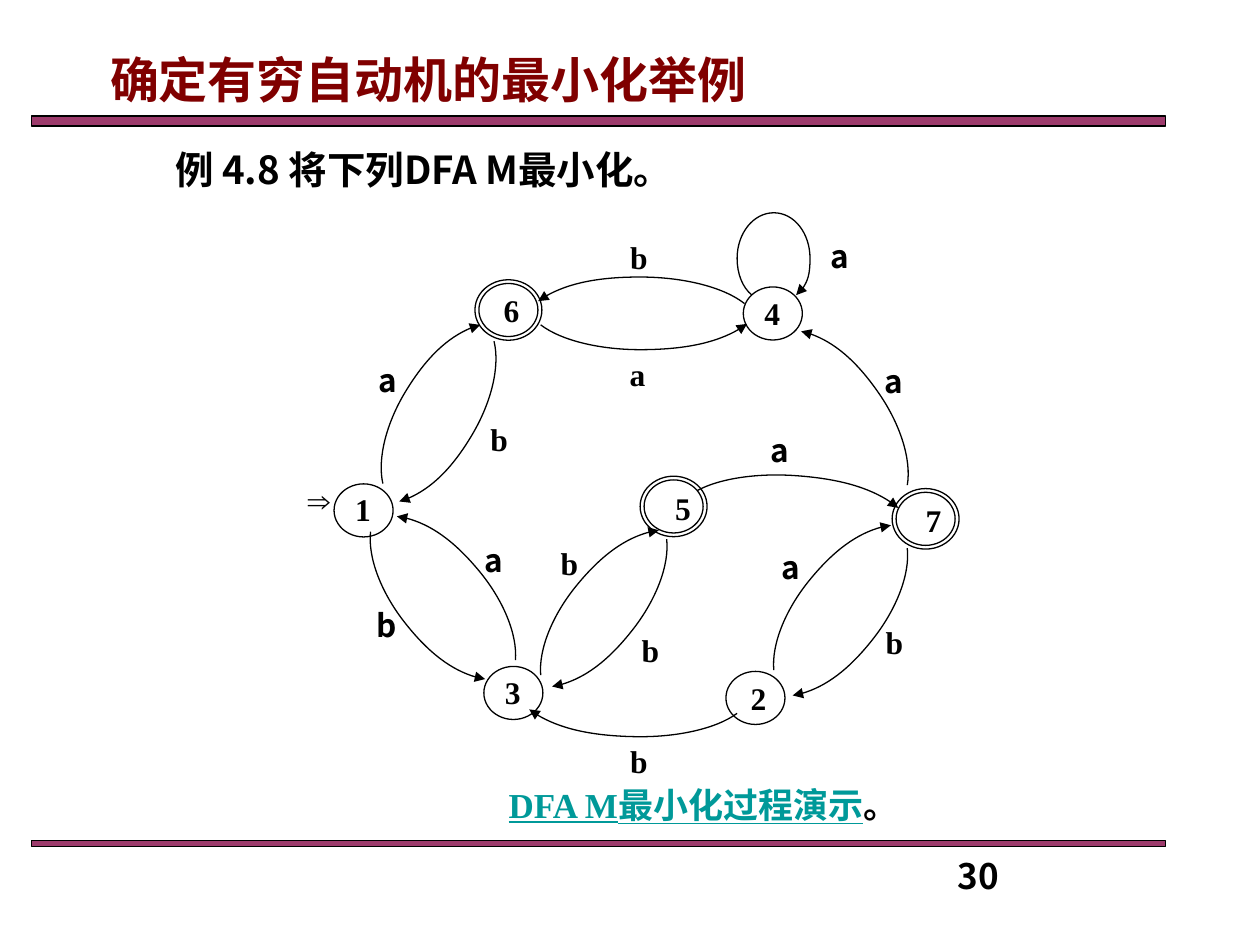
from dataclasses import dataclass
from math import hypot

from pptx import Presentation
from pptx.dml.color import RGBColor
from pptx.enum.shapes import MSO_SHAPE
from pptx.enum.text import MSO_ANCHOR, MSO_AUTO_SIZE, PP_ALIGN
from pptx.oxml.ns import qn
from pptx.util import Cm, Pt
from lxml.etree import SubElement


@dataclass(frozen=True)
class Theme:
    sans: str = "Noto Sans CJK SC"
    serif: str = "Times New Roman"
    ink: str = "000000"
    paper: str = "FFFFFF"
    title: str = "800000"
    accent: str = "009999"
    bar: str = "993366"
    title_size: int = 28
    example_size: int = 22
    caption_size: int = 20
    label_size: int = 18
    line_width: float = 0.75


THEME = Theme()
SANS, SERIF = THEME.sans, THEME.serif

# All positions are in centimetres.
TITLE = "确定有穷自动机的最小化举例"
EXAMPLE = "例 4.8 将下列DFA M最小化。"
CAPTION = "DFA M最小化过程演示"
PAGE_NUMBER = "30"
BARS = [(2.34, 0.2), (16.94, 0.13)]  # top, height

# name: centre, label centre, accepting
STATES = {
    "1": ((7.33, 10.29), (7.32, 10.26), False),
    "7": ((18.66, 10.46), (18.82, 10.49), True),
    "6": ((10.25, 6.25), (10.31, 6.25), True),
    "3": ((10.35, 13.97), (10.34, 13.94), False),
    "4": ((15.58, 6.32), (15.57, 6.3), False),
    "2": ((15.23, 14.07), (15.29, 14.07), False),
    "5": ((13.58, 10.21), (13.77, 10.24), True),
}
FRONT_STATE = "5"  # covers the ends of its edges
STATE_SIZE = (1.19, 1.07)
RING_SIZE = (1.35, 1.22)

# start, end, bulge to the left of travel, label, label font, label centre
FLAT, STEEP = 0.51, 0.58
EDGES = [
    ((10.9, 6.55), (15.06, 6.53), -FLAT, "a", SERIF, (12.85, 7.54)),     # 6 to 4
    ((15.01, 6.12), (10.85, 6.07), -FLAT, "b", SERIF, (12.88, 5.18)),    # 4 to 6
    ((9.96, 6.88), (8.05, 10.11), STEEP, "b", SERIF, (10.06, 8.84)),     # 6 to 1
    ((7.72, 9.75), (9.68, 6.55), STEEP, "a", SANS, (7.82, 7.65)),        # 1 to 6
    ((10.39, 13.31), (8.0, 10.41), -STEEP, "a", SANS, (9.96, 11.28)),    # 3 to 1
    ((7.47, 10.72), (9.78, 13.69), -STEEP, "b", SANS, (7.8, 12.6)),      # 1 to 3
    ((13.44, 10.87), (11.13, 13.84), STEEP, "b", SERIF, (13.11, 13.11)), # 5 to 3
    ((10.9, 13.61), (13.28, 10.69), STEEP, "b", SERIF, (11.48, 11.35)),  # 3 to 5
    ((18.29, 11.05), (15.98, 14.02), STEEP, "b", SERIF, (18.03, 12.95)), # 7 to 2
    ((15.6, 13.51), (17.96, 10.59), STEEP, "a", SANS, (15.95, 11.43)),   # 2 to 7
    ((18.29, 9.78), (16.15, 6.68), -STEEP, "a", SANS, (18.01, 7.67)),    # 7 to 4
    ((14.86, 14.38), (10.67, 14.3), FLAT, "b", SERIF, (12.88, 15.34)),   # 2 to 3
    ((13.94, 9.96), (18.11, 10.24), FLAT, "a", SANS, (15.72, 9.07)),     # 5 to 7
]
# Arc outline as (share of chord, share of bulge)
ARC = [(0, 0), (0.1, 0.63), (0.29, 1), (0.49, 1), (0.71, 1), (0.9, 0.63), (1, 0)]
LOOP = [(15.16, 5.95), (14.97, 5.8), (14.86, 5.52), (14.86, 5.21),
        (14.86, 4.7), (15.19, 4.29), (15.6, 4.29),
        (16.01, 4.29), (16.33, 4.7), (16.33, 5.21),
        (16.33, 5.54), (16.24, 5.82), (16.05, 5.95)]
LOOP_LABEL = ("a", SANS, (16.92, 5.16))
START_MARK = ("⇒", SERIF, (6.43, 10.07))


def add_text(para, text, *, size, font=SANS, color=THEME.ink, underline=False):
    span = para.add_run()
    span.text = text
    span.font.size = Pt(size)
    span.font.bold = True
    span.font.underline = underline
    span.font.color.rgb = RGBColor.from_string(color)
    span.font.name = font
    SubElement(span.font._element, qn("a:ea")).set("typeface", SANS)


def format_box(box, place, *, align=PP_ALIGN.CENTER, inset=0.25):
    """Place a text shape, centre it vertically and return its paragraph."""
    box.left, box.top, box.width, box.height = map(Cm, place)
    frame = box.text_frame
    frame.auto_size = MSO_AUTO_SIZE.NONE
    frame.word_wrap = True
    frame.vertical_anchor = MSO_ANCHOR.MIDDLE
    frame.margin_left = frame.margin_right = Cm(inset)
    frame.margin_top = frame.margin_bottom = Cm(0)
    para = frame.paragraphs[0]
    para.alignment = align
    return para


def add_box(page, place, **layout):
    return format_box(page.shapes.add_textbox(0, 0, 0, 0), place, **layout)


def centred(centre, size):
    return (centre[0] - size[0] / 2, centre[1] - size[1] / 2, *size)


def add_label(page, text, font, centre):
    para = add_box(page, centred(centre, (1.32, 1.07)), inset=0)
    add_text(para, text, size=THEME.label_size, font=font)


def style_outline(shape, fill=None):
    shape.shadow.inherit = False
    if fill:
        shape.fill.solid()
        shape.fill.fore_color.rgb = RGBColor.from_string(fill)
    else:
        shape.fill.background()
    shape.line.color.rgb = RGBColor.from_string(THEME.ink)
    shape.line.width = Pt(THEME.line_width)


def add_bar(page, top, height):
    bar = page.shapes.add_shape(MSO_SHAPE.RECTANGLE, Cm(0.64), Cm(top), Cm(22.86), Cm(height))
    style_outline(bar, THEME.bar)
    color = bar.fill._xPr.find(qn("a:solidFill"))[0]
    SubElement(color, qn("a:alpha")).set("val", "96000")


def add_state(page, name):
    centre, label_centre, accepting = STATES[name]
    rings = [(STATE_SIZE, THEME.paper)] + [(RING_SIZE, None)] * accepting
    for size, fill in rings:
        ring = page.shapes.add_shape(MSO_SHAPE.OVAL, *map(Cm, centred(centre, size)))
        style_outline(ring, fill)
    add_label(page, name, SERIF, label_centre)


def arc_points(start, end, bulge):
    dx, dy = end[0] - start[0], end[1] - start[1]
    length = hypot(dx, dy)
    return [(start[0] + dx * along + dy / length * bulge * out,
             start[1] + dy * along - dx / length * bulge * out)
            for along, out in ARC]


def add_curve(page, points):
    """Draw an arrow through Bezier points: a start, then three per segment."""
    start, *rest = [(Cm(x), Cm(y)) for x, y in points]
    builder = page.shapes.build_freeform(*start)
    builder.add_line_segments(rest, close=False)
    curve = builder.convert_to_shape()
    style_outline(curve)
    outline = next(curve._element.iter(qn("a:path")))
    corners = outline.findall(qn("a:lnTo"))
    for index in range(0, len(corners), 3):
        bezier = SubElement(outline, qn("a:cubicBezTo"))
        for corner in corners[index:index + 3]:
            bezier.append(corner[0])
            outline.remove(corner)
    SubElement(curve.line._get_or_add_ln(), qn("a:tailEnd")).set("type", "triangle")


def main():
    deck = Presentation()
    deck.slide_width, deck.slide_height = Cm(25.4), Cm(19.05)
    page = deck.slides.add_slide(deck.slide_layouts[5])

    for top, height in BARS:
        add_bar(page, top, height)
    para = format_box(page.shapes.title, (0.91, 0.86, 15.44, 1.45))
    add_text(para, TITLE, size=THEME.title_size, color=THEME.title)
    para = add_box(page, (3.28, 2.82, 11, 1.19), align=PP_ALIGN.LEFT)
    add_text(para, EXAMPLE, size=THEME.example_size)

    add_curve(page, LOOP)
    for name in STATES:
        if name != FRONT_STATE:
            add_state(page, name)
    for start, end, bulge, *label in EDGES:
        add_curve(page, arc_points(start, end, bulge))
        add_label(page, *label)
    add_state(page, FRONT_STATE)
    add_label(page, *LOOP_LABEL)
    add_label(page, *START_MARK)

    para = add_box(page, (9.32, 15.67, 9.73, 1.09))
    add_text(para, CAPTION, size=THEME.caption_size, font=SERIF,
             color=THEME.accent, underline=True)
    add_text(para, "。", size=THEME.caption_size, font=SERIF)
    para = add_box(page, (19.05, 17.3, 5.92, 0.69), align=PP_ALIGN.LEFT)
    add_text(para, PAGE_NUMBER, size=THEME.caption_size)
    deck.save("out.pptx")


if __name__ == "__main__":
    main()
